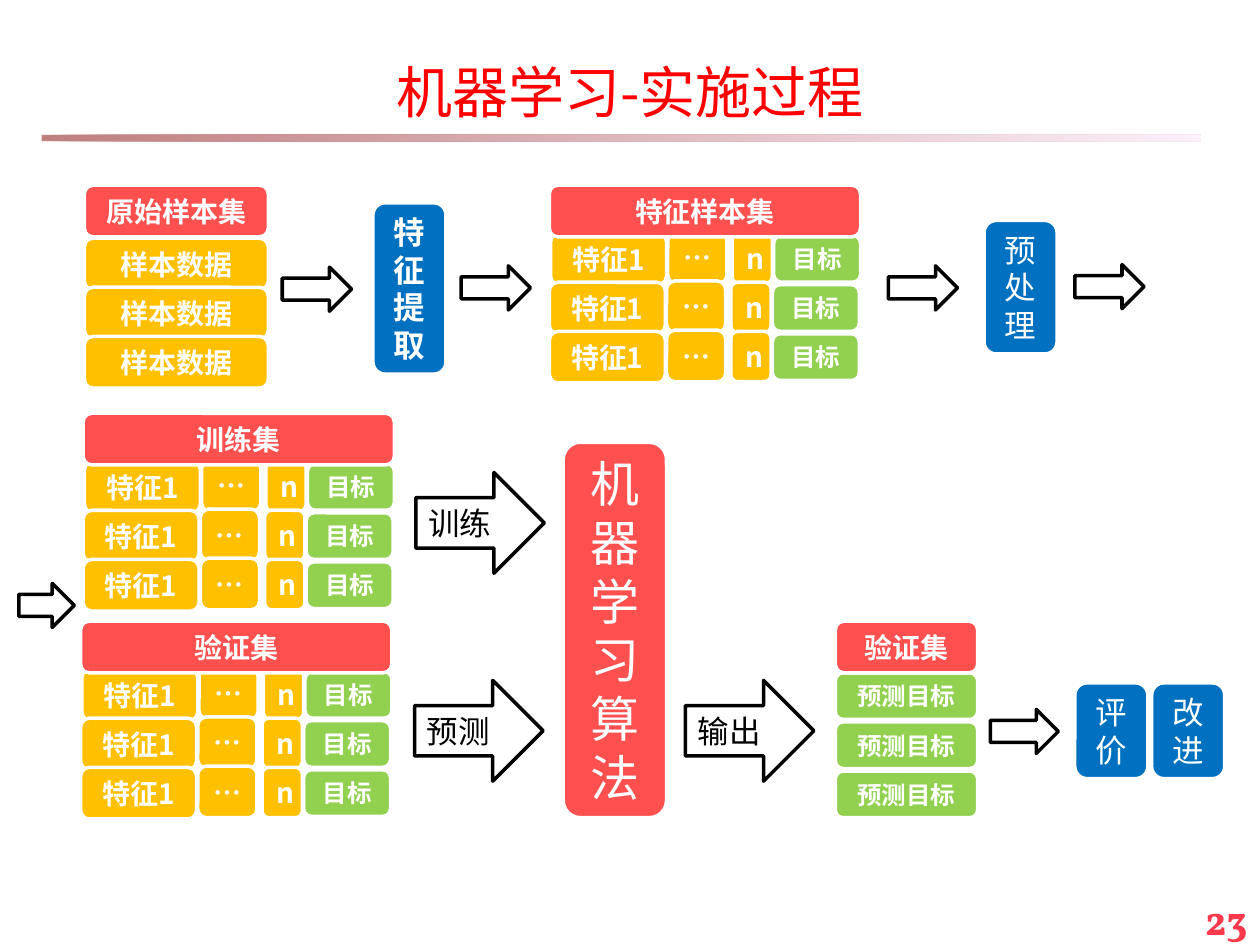
from lxml.etree import SubElement
from pptx import Presentation
from pptx.dml.color import RGBColor
from pptx.enum.shapes import MSO_SHAPE
from pptx.enum.text import MSO_ANCHOR, PP_ALIGN
from pptx.oxml.ns import qn
from pptx.util import Inches, Pt

COLORS = {
    "white": "FFFFFF", "black": "000000", "title": "FF0000", "page": "FC3A4C",
    "header": "FF5050", "feature": "FFC000", "target": "92D050", "step": "0070C0",
    "rule_start": "800000", "rule_end": "FAE2F6",
}
CJK = "Noto Sans CJK SC"
ROW_PITCH = 0.39
HEADER_HEIGHT = 0.41
# text, left offset, top offset from the header, width, height, colour, size
FEATURE_COLUMNS = [
    ("特征1", 0, 0.38, 0.92, 0.41, "feature", 16),
    ("…", 0.93, 0.37, 0.47, 0.41, "feature", 16),
    ("n", 1.44, 0.38, 0.32, 0.4, "feature", 16),
    ("目标", 1.77, 0.4, 0.69, 0.37, "target", 14),
]


def rgb(name):
    return RGBColor.from_string(COLORS[name])


def write(frame, text, size=16, color="white", bold=False, font=CJK,
          align=PP_ALIGN.CENTER, anchor=MSO_ANCHOR.MIDDLE, spacing=None):
    frame.word_wrap = True
    frame.vertical_anchor = anchor
    paragraph = frame.paragraphs[0]
    paragraph.alignment = align
    if spacing:
        paragraph.line_spacing = spacing
    run = paragraph.add_run()
    run.text = text
    run.font.size = Pt(size)
    run.font.bold = bold
    run.font.color.rgb = rgb(color)
    run.font.name = font
    properties = run.font._element
    east_asian = SubElement(properties, qn("a:ea"))
    east_asian.set("typeface", font)
    properties.find(qn("a:latin")).addnext(east_asian)


def add_block(slide, kind, box, fill, line):
    block = slide.shapes.add_shape(kind, *map(Inches, box))
    block.shadow.inherit = False
    block.fill.solid()
    block.fill.fore_color.rgb = rgb(fill)
    block.line.color.rgb = rgb(line)
    block.line.width = Pt(2)
    return block


def add_card(slide, text, box, fill, **text_format):
    card = add_block(slide, MSO_SHAPE.ROUNDED_RECTANGLE, box, fill, "white")
    write(card.text_frame, text, **text_format)


def add_stacked_card(slide, text, box, fill="step", size=18, bold=False):
    """Card so narrow that each character takes its own line."""
    add_card(slide, text, box, fill, size=size, bold=bold, spacing=Pt(size * 1.2))


def add_arrow(slide, box, label=None):
    arrow = add_block(slide, MSO_SHAPE.RIGHT_ARROW, box, "white", "black")
    if label:
        write(arrow.text_frame, label, size=18, color="black", font="Arial",
              align=PP_ALIGN.LEFT)


def add_feature_set(slide, title, left, top):
    for row in range(3):
        row_left = left + (0.01 if row == 0 else 0)
        for text, dx, dy, width, height, fill, size in FEATURE_COLUMNS:
            box = (row_left + dx, top + dy + row * ROW_PITCH, width, height)
            add_card(slide, text, box, fill, size=size, bold=True)
    add_card(slide, title, (left, top, 2.47, HEADER_HEIGHT), "header", bold=True)


def add_single_column_set(slide, title, item, left, top, width, first_row, height,
                          fill, size):
    for row in range(3):
        box = (left, first_row + row * ROW_PITCH, width, height)
        add_card(slide, item, box, fill, size=size, bold=True)
    add_card(slide, title, (left, top, width, HEADER_HEIGHT), "header", bold=True)


def add_title_rule(slide):
    rule = slide.shapes.add_shape(MSO_SHAPE.RECTANGLE, Inches(0.33), Inches(1.07),
                                  Inches(9.2), Inches(0.05))
    rule.shadow.inherit = False
    rule.line.fill.background()
    rule.fill.gradient()
    rule.fill.gradient_angle = 0
    for stop, color, position in zip(rule.fill.gradient_stops,
                                     ("rule_start", "rule_end"), (0, 1)):
        stop.color.rgb = rgb(color)
        stop.position = position
    for color in rule._element.spPr.iter(qn("a:srgbClr")):
        SubElement(color, qn("a:alpha")).set("val", "50000")


def add_title(slide, text):
    title = slide.shapes.title
    title.left, title.top = Inches(0), Inches(0.08)
    title.width, title.height = Inches(10), Inches(1.02)
    write(title.text_frame, text, size=32, color="title", spacing=1.5)


def add_page_number(slide, number):
    page = slide.shapes.add_textbox(Inches(7.67), Inches(7.04),
                                    Inches(2.33), Inches(0.44))
    write(page.text_frame, number, size=24, color="page", bold=True,
          font="Vollkorn", align=PP_ALIGN.RIGHT, anchor=MSO_ANCHOR.TOP)


def main():
    deck = Presentation()
    deck.slide_width, deck.slide_height = Inches(10), Inches(7.5)
    slide = deck.slides.add_slide(deck.slide_layouts[5])

    add_title_rule(slide)
    add_title(slide, "机器学习-实施过程")
    add_page_number(slide, "23")

    add_single_column_set(slide, "原始样本集", "样本数据", 0.67, 1.47, 1.46,
                          1.89, 0.41, "feature", 16)
    add_single_column_set(slide, "验证集", "预测目标", 6.63, 4.93, 1.13,
                          5.34, 0.37, "target", 14)
    for title, left, top in [("特征样本集", 4.36, 1.47), ("训练集", 0.66, 3.28),
                             ("验证集", 0.64, 4.93)]:
        add_feature_set(slide, title, left, top)

    add_stacked_card(slide, "特征提取", (2.96, 1.61, 0.58, 1.36), bold=True)
    add_stacked_card(slide, "预处理", (7.81, 1.75, 0.58, 1.06))
    add_stacked_card(slide, "机器学习算法", (4.47, 3.51, 0.82, 2.98), "header", 28)
    add_stacked_card(slide, "评价", (8.53, 5.42, 0.58, 0.76))
    add_stacked_card(slide, "改进", (9.14, 5.42, 0.58, 0.76))

    for left, top, width in [(2.24, 2.12, 0.55), (3.66, 2.11, 0.55),
                             (7.05, 2.11, 0.55), (8.53, 2.1, 0.55),
                             (0.15, 4.63, 0.44), (7.86, 5.63, 0.54)]:
        add_arrow(slide, (left, top, width, 0.35))
    for label, left, top in [("训练", 3.3, 3.75), ("预测", 3.29, 5.4),
                             ("输出", 5.44, 5.4)]:
        add_arrow(slide, (left, top, 1.02, 0.8), label)

    deck.save("out.pptx")


if __name__ == "__main__":
    main()
